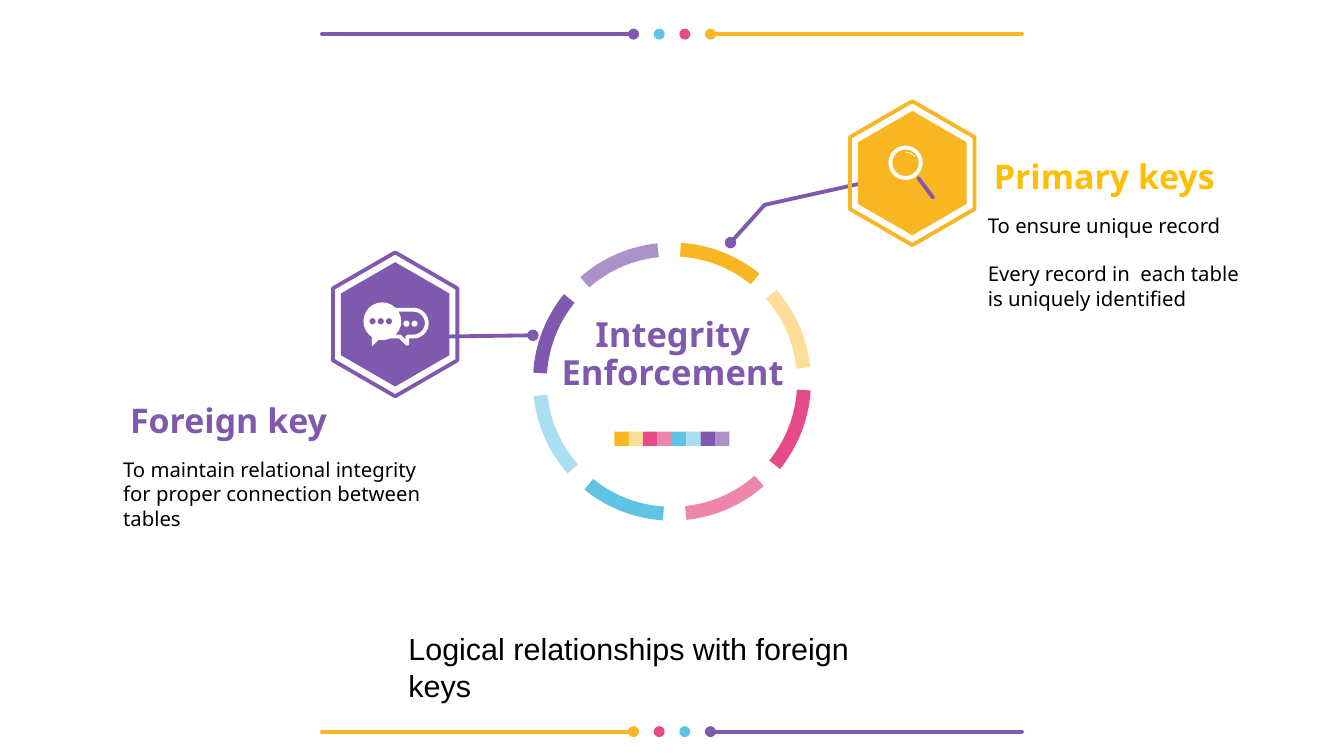
from math import cos, radians, sin

from lxml import etree
from pptx import Presentation
from pptx.dml.color import RGBColor
from pptx.enum import shapes, text
from pptx.oxml import ns
from pptx.util import Inches, Pt

COLORS = {
    "purple": "7F59AE", "lilac": "AB93CA", "blue": "60C4E4", "sky": "A9DFF1",
    "pink": "E54B89", "rose": "ED85AD", "yellow": "F8B622", "cream": "FCDD99",
    "amber": "FFBF00", "white": "FFFFFF", "black": "000000",
}
PALETTE = ["yellow", "cream", "pink", "rose", "blue", "sky", "purple", "lilac"]
SHAPE = shapes.MSO_SHAPE
LINE_WIDTH = 2.27


def rgb(name):
    return RGBColor.from_string(COLORS[name])


def paint(sp, fill=None, line=None, width=LINE_WIDTH):
    sp.shadow.inherit = False
    if fill:
        sp.fill.solid()
        sp.fill.fore_color.rgb = rgb(fill)
    else:
        sp.fill.background()
    if line:
        sp.line.color.rgb = rgb(line)
        sp.line.width = Pt(width)
    else:
        sp.line.fill.background()
    return sp


def add_preset(s, kind, box, **style):
    return paint(s.shapes.add_shape(kind, *map(Inches, box)), **style)


def add_outline(s, points, closed=True, **style):
    points = [(Inches(x), Inches(y)) for x, y in points]
    builder = s.shapes.build_freeform(*points[0], scale=1.0)
    builder.add_line_segments(points[1:], close=closed)
    return paint(builder.convert_to_shape(), **style)


def add_line(s, start, end, color):
    cxn = s.shapes.add_connector(shapes.MSO_CONNECTOR.STRAIGHT, *map(Inches, start + end))
    cxn.line.color.rgb = rgb(color)
    cxn.line.width = Pt(LINE_WIDTH)
    cxn.line._get_or_add_ln().set("cap", "rnd")
    etree.SubElement(cxn._element.spPr, ns.qn("a:effectLst"))
    return cxn


def add_oval_head(sp):
    etree.SubElement(sp.line._get_or_add_ln(), ns.qn("a:headEnd"), type="oval")


def arc(cx, cy, radius, start, sweep, steps=16):
    angles = [radians(start + sweep * i / steps) for i in range(steps + 1)]
    return [(cx + radius * cos(a), cy + radius * sin(a)) for a in angles]


def draw_divider(s, left, y, width, colors):
    dot, gap = 0.09, 0.21
    first = left + (width - 3 * gap) / 2
    last = first + 3 * gap
    add_line(s, (left, y), (first, y), colors[0])
    for i, color in enumerate(colors):
        add_preset(s, SHAPE.OVAL, (first + i * gap - dot / 2, y - dot / 2, dot, dot), fill=color)
    add_line(s, (last, y), (left + width, y), colors[-1])


def draw_ring(s, left, top, size):
    radius = size / 2
    cx, cy = left + radius, top + radius
    for i, color in enumerate(PALETTE):
        add_outline(s, [(cx, cy)] + arc(cx, cy, radius, -86.3 + 45 * i, 35.3), fill=color)
    hole = 0.9 * size
    add_preset(s, SHAPE.OVAL, (cx - hole / 2, cy - hole / 2, hole, hole), fill="white")
    swatch = 0.118
    for i, color in enumerate(PALETTE):
        add_preset(s, SHAPE.RECTANGLE, (cx + (i - 4) * swatch, cy + 0.41, swatch, swatch), fill=color)


def draw_hexagon(s, cx, cy, color):
    for w, h, style in ((1.18, 1.02, {"line": color}), (1.02, 0.89, {"fill": color})):
        sp = add_preset(s, SHAPE.HEXAGON, (cx - w / 2, cy - h / 2, w, h), **style)
        sp.adjustments[0] = 0.289
        sp.adjustments[1] = 1.155
        sp.rotation = 90


def draw_dots(s, left, top, color):
    for i in range(3):
        add_preset(s, SHAPE.OVAL, (left + 0.067 * i, top, 0.05, 0.05), fill=color)


def draw_chat(s, cx, cy):
    draw_dots(s, cx, cy - 0.03, "white")
    mid = cy - 0.01
    tail = [(cx + 0.04, cy + 0.1), (cx + 0.1, cy + 0.16), (cx + 0.1, cy + 0.1)]
    bubble = arc(cx - 0.03, mid, 0.11, 270, -180) + tail + arc(cx + 0.15, mid, 0.11, 90, -180)
    add_outline(s, bubble, line="white")
    add_preset(s, SHAPE.OVAL, (cx - 0.26, cy - 0.18, 0.31, 0.31), fill="white")
    add_outline(s, [(cx - 0.19, cy + 0.18), (cx - 0.1, cy + 0.09), (cx - 0.19, cy + 0.09)], fill="white")
    draw_dots(s, cx - 0.21, cy - 0.05, "purple")


def draw_magnifier(s, cx, cy):
    add_line(s, (cx + 0.05, cy + 0.04), (cx + 0.17, cy + 0.2), "purple")
    add_preset(s, SHAPE.OVAL, (cx - 0.18, cy - 0.21, 0.25, 0.25), line="white")
    add_outline(s, arc(cx - 0.05, cy - 0.08, 0.09, -90, 55), closed=False, line="white", width=0.43)


def place(s, sp, box):
    s.shapes.element.append(sp.element)
    sp.left, sp.top, sp.width, sp.height = map(Inches, box)
    tf = sp.text_frame
    tf.word_wrap = True
    tf.auto_size = text.MSO_AUTO_SIZE.NONE
    tf.margin_left = tf.margin_right = tf.margin_top = tf.margin_bottom = 0
    return tf


def set_font(p, font, size, color, bold=False):
    for r in p.runs:
        r.font.name = font
        r.font.size = Pt(size)
        r.font.bold = bold
        r.font.color.rgb = rgb(color)


def write_heading(s, sp, box, words, color, size=20, spacing=1.0):
    tf = place(s, sp, box)
    tf.text = words
    tf.vertical_anchor = text.MSO_ANCHOR.MIDDLE
    p = tf.paragraphs[0]
    p.alignment = text.PP_ALIGN.CENTER
    p.space_before = Pt(0)
    p.line_spacing = spacing
    set_font(p, "Noto Sans", size, color, bold=True)


def write_body(s, sp, box, lines, indent):
    tf = place(s, sp, box)
    tf.text = "\n".join(lines)
    tf.vertical_anchor = text.MSO_ANCHOR.TOP
    for i, p in enumerate(tf.paragraphs):
        pPr = p._p.get_or_add_pPr()
        pPr.set("marL", str(Inches(indent)))
        pPr.set("indent", "0")
        etree.SubElement(pPr, ns.qn("a:buNone"))
        p.space_before = Pt(14.1 if i else 0)
        set_font(p, "Noto Sans", 12, "black")


def write_caption(s, box, words):
    tf = s.shapes.add_textbox(*map(Inches, box)).text_frame
    tf.word_wrap = False
    tf.text = words
    set_font(tf.paragraphs[0], "Arial", 18, "black")


def draw_foreign_key(s, cx, cy):
    add_oval_head(add_line(s, (cx + 1.13, cy + 0.09), (cx + 0.4, cy + 0.1), "purple"))
    draw_hexagon(s, cx, cy, "purple")
    draw_chat(s, cx, cy)
    write_heading(s, s.placeholders[1], (cx - 2.24, cy + 0.59, 1.75, 0.39), "Foreign key", "purple")
    write_body(s, s.placeholders[2], (cx - 2.74, cy + 1.09, 3, 1),
               ["To maintain relational integrity for proper connection between tables"], 0.51)


def draw_primary_keys(s, cx, cy):
    bend = [(cx - 1.49, cy + 0.57), (cx - 1.21, cy + 0.26), (cx + 0.05, cy - 0.02)]
    add_oval_head(add_outline(s, bend, closed=False, line="purple"))
    draw_hexagon(s, cx, cy, "yellow")
    draw_magnifier(s, cx, cy)
    write_heading(s, s.placeholders[3], (cx + 0.63, cy - 0.17, 1.89, 0.39), "Primary keys", "amber")
    write_body(s, s.placeholders[4], (cx + 0.15, cy + 0.33, 2.62, 1),
               ["To ensure unique record", "Every record in  each table is uniquely identified"], 0.47)


def main():
    prs = Presentation()
    prs.slide_width, prs.slide_height = Inches(11.02), Inches(6.2)
    s = prs.slides.add_slide(prs.slide_layouts[4])
    for sp in list(s.placeholders):
        if sp.placeholder_format.idx > 4:
            sp.element.getparent().remove(sp.element)
    draw_divider(s, 2.64, 0.28, 5.74, ["purple", "blue", "pink", "yellow"])
    draw_divider(s, 2.64, 6, 5.74, ["yellow", "pink", "blue", "purple"])
    draw_ring(s, 4.37, 1.99, 2.28)
    draw_foreign_key(s, 3.24, 2.66)
    draw_primary_keys(s, 7.48, 1.42)
    write_heading(s, s.shapes.title, (4.59, 2.56, 1.85, 0.71), "Integrity Enforcement", "purple", 20.4, 0.9)
    write_caption(s, (3.25, 5.12, 4.39, 0.38), "Logical relationships with foreign keys")
    prs.save("out.pptx")


if __name__ == "__main__":
    main()
